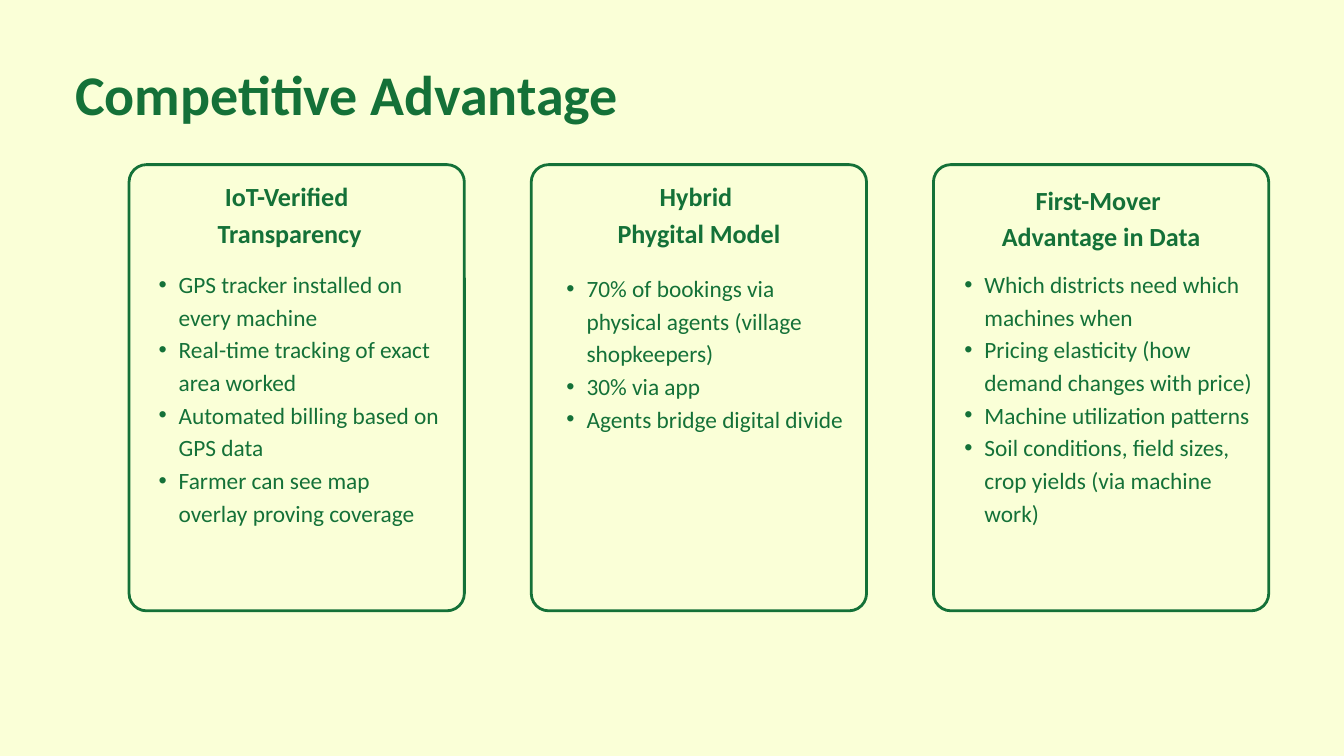
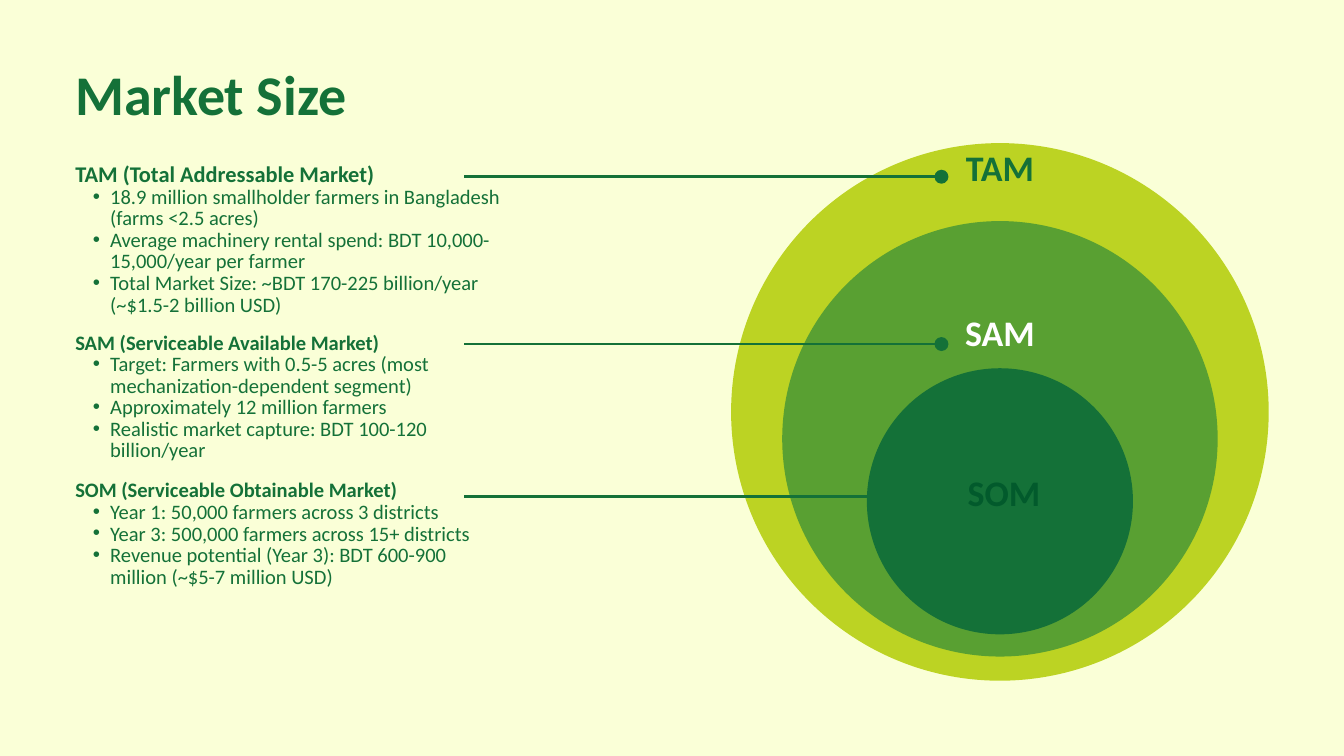
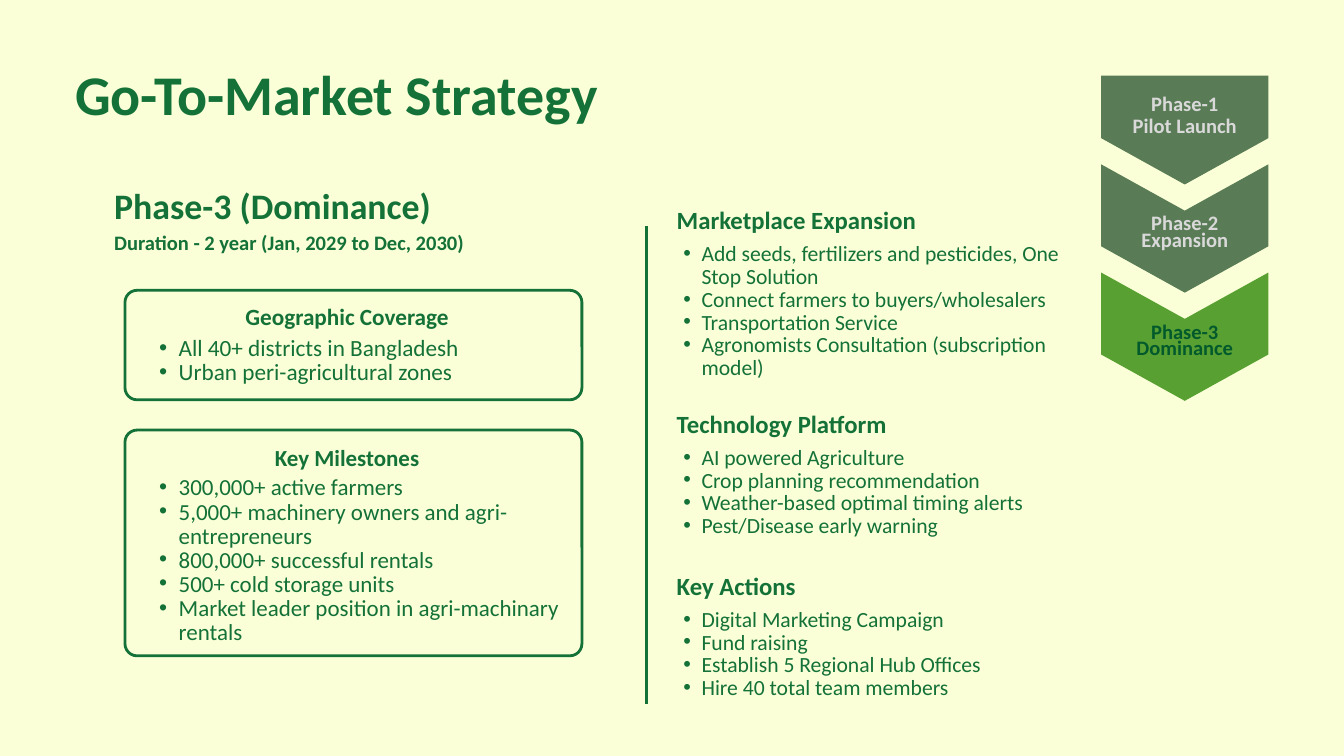
"""Build three slides on competitive advantage, market size and go-to-market strategy."""
import pptx
import pptx.dml.color
import pptx.enum.shapes
import pptx.enum.text
import pptx.oxml
import pptx.oxml.ns
import pptx.util

COLORS = {
    "cream": "FAFFD7",
    "green": "147138",
    "leaf": "59A032",
    "lime": "BCD323",
    "sage": "597B56",
    "forest": "025A2C",
    "silver": "D9D9D9",
    "white": "FFFFFF",
}
FONT = "Calibri"
STROKE = pptx.util.Pt(3)
SHAPES = pptx.enum.shapes.MSO_SHAPE
COLORS = {name: pptx.dml.color.RGBColor.from_string(value) for name, value in COLORS.items()}

deck = pptx.Presentation()
deck.slide_width = pptx.util.Inches(20)
deck.slide_height = pptx.util.Inches(11.25)
COLUMN = deck.slide_width / 20
ROW = deck.slide_height / 11.25


def write(page, at, text, size=24, leading=1.05, color="green", bold=False,
          center=False, hang=None, heading=None):
    """Write one paragraph per line; hang makes bullets, heading sizes a bold first line."""
    left, top, width, height = at
    box = page.shapes.add_textbox(int(left * COLUMN), int(top * ROW), int(width * COLUMN), int(height * ROW))
    frame = box.text_frame
    frame.word_wrap = True
    frame.margin_left = frame.margin_top = frame.margin_right = frame.margin_bottom = 0
    for index, line in enumerate(text.split("\n")):
        para = frame.paragraphs[0] if index == 0 else frame.add_paragraph()
        is_heading = heading is not None and index == 0
        if hang and not is_heading:
            para.level = 1
            properties = para._p.get_or_add_pPr()
            properties.set("marL", str(pptx.util.Inches(2 * hang)))
            properties.set("indent", str(-pptx.util.Inches(hang)))
            for tag, key, value in (("buFont", "typeface", "Arial"), ("buChar", "char", "•")):
                bullet = pptx.oxml.parse_xml(f'<a:{tag} {pptx.oxml.ns.nsdecls("a")}/>')
                bullet.set(key, value)
                properties.append(bullet)
        points = heading if is_heading else size
        para.line_spacing = pptx.util.Pt(round(points * leading, 1))
        para.alignment = pptx.enum.text.PP_ALIGN.CENTER if center else pptx.enum.text.PP_ALIGN.LEFT
        span = para.add_run()
        span.text = line
        span.font.name = FONT
        span.font.size = pptx.util.Pt(points)
        span.font.bold = bold or is_heading
        span.font.color.rgb = COLORS[color]
    return box


def draw(page, kind, at, fill=None, corner=None, turn=0):
    """Draw a filled shape, or an outlined one without fill; corner is a length."""
    left, top, width, height = at
    shape = page.shapes.add_shape(kind, int(left * COLUMN), int(top * ROW), int(width * COLUMN), int(height * ROW))
    shape.shadow.inherit = False
    shape.rotation = turn
    if corner:
        shape.adjustments[0] = corner / min(width, height)
    if fill:
        shape.fill.solid()
        shape.fill.fore_color.rgb = COLORS[fill]
        shape.line.fill.background()
    else:
        shape.fill.background()
        shape.line.color.rgb = COLORS["green"]
        shape.line.width = STROKE


pages = []
for title in ("Competitive Advantage", "Market Size", "Go-To-Market Strategy"):
    page = deck.slides.add_slide(deck.slide_layouts[6])
    page.background.fill.solid()
    page.background.fill.fore_color.rgb = COLORS["cream"]
    if title == "Market Size":
        draw(page, SHAPES.OVAL, (10.88, 2.13, 8, 8), fill="lime")
    write(page, (1.12, 1.05, 11.56, 1.07), title, size=60, leading=1, bold=True)
    pages.append(page)
advantage, market, strategy = pages

cards = [
    ((2.76, 2.61, 3.1, 1.16), "IoT-Verified \nTransparency", (2.06, 3.95, 4.5, 4.85),
     "GPS tracker installed on every machine\nReal-time tracking of exact area worked\n"
     "Automated billing based on GPS data\nFarmer can see map overlay proving coverage"),
    ((8.84, 2.61, 3.12, 1.16), "Hybrid \nPhygital Model", (8.13, 4.01, 4.54, 3.41),
     "70% of bookings via physical agents (village shopkeepers)\n30% via app\n"
     "Agents bridge digital divide"),
    ((14, 2.66, 4.77, 1.16), "First-Mover \nAdvantage in Data", (14.05, 3.95, 4.66, 5.33),
     "Which districts need which machines when\n"
     "Pricing elasticity (how demand changes with price)\nMachine utilization patterns\n"
     "Soil conditions, field sizes, crop yields (via machine work)"),
]
for index, (heading_at, heading, points_at, points) in enumerate(cards):
    draw(advantage, SHAPES.ROUNDED_RECTANGLE, (1.92 + 5.985 * index, 2.45, 4.99, 6.64), corner=0.26)
    write(advantage, heading_at, heading, size=28, leading=1.4, bold=True, center=True)
    write(advantage, points_at, points, size=25, leading=1.4, hang=0.3)

for top, diameter, fill in ((3.29, 6.48, "leaf"), (5.48, 3.96, "green")):
    draw(market, SHAPES.OVAL, (14.88 - diameter / 2, top, diameter, diameter), fill=fill)

markets = [
    (2.43, 2.32, 24, "TAM (Total Addressable Market)\n"
     "18.9 million smallholder farmers in Bangladesh (farms <2.5 acres)\n"
     "Average machinery rental spend: BDT 10,000-15,000/year per farmer\n"
     "Total Market Size: ~BDT 170-225 billion/year (~$1.5-2 billion USD)"),
    (4.95, 1.96, 22, "SAM (Serviceable Available Market)\n"
     "Target: Farmers with 0.5-5 acres (most mechanization-dependent segment)\n"
     "Approximately 12 million farmers\nRealistic market capture: BDT 100-120 billion/year"),
    (7.15, 2.27, 22, "SOM (Serviceable Obtainable Market)\n"
     "Year 1: 50,000 farmers across 3 districts\nYear 3: 500,000 farmers across 15+ districts\n"
     "Revenue potential (Year 3): BDT 600-900 million (~$5-7 million USD)"),
]
for top, height, heading_size, text in markets:
    write(market, (1.12, top, 6.38, height), text, size=22, hang=0.26, heading=heading_size)
for left, top, label, color in ((14.25, 2.25, "TAM", "green"), (14.25, 4.71, "SAM", "white"),
                                (14.31, 7.09, "SOM", "forest")):
    write(market, (left, top, 1.26, 0.7), label, size=38.5, color=color, bold=True, center=True)

phases = [
    (SHAPES.PENTAGON, 1.13, 1.62, "sage", 1.4, "Phase-1\nPilot Launch", "silver", (23.1, 23.1)),
    (SHAPES.CHEVRON, 2.45, 1.91, "sage", 3.07, "Phase-2\nExpansion", "silver", (30.8, 18)),
    (SHAPES.CHEVRON, 4.06, 1.91, "leaf", 4.68, "Phase-3\nDominance", "forest", (30.8, 18)),
]
for kind, top, depth, fill, label_top, label, color, spacings in phases:
    unturned = (17.63 - depth / 2, top + depth / 2 - 1.25, depth, 2.49)
    draw(strategy, kind, unturned, fill=fill, corner=0.69, turn=90)
    box = write(strategy, (16.72, label_top, 1.82, 0.82), label, size=22, color=color, bold=True, center=True)
    for para, spacing in zip(box.text_frame.paragraphs, spacings):
        para.line_spacing = pptx.util.Pt(spacing)

write(strategy, (1.7, 2.82, 7.64, 0.68), "Phase-3 (Dominance)", size=38.4, bold=True)
write(strategy, (1.7, 3.47, 8.37, 0.39), "Duration - 2 year (Jan, 2029 to Dec, 2030)", size=22, bold=True)

panels = [
    (4.32, 1.63, 4.55, 5.01, 24.9, "Geographic Coverage",
     "All 40+ districts in Bangladesh\nUrban peri-agricultural zones"),
    (6.4, 3.36, 6.65, 7.09, 24.6, "Key Milestones",
     "300,000+ active farmers\n5,000+ machinery owners and agri-entrepreneurs\n"
     "800,000+ successful rentals\n500+ cold storage units\n"
     "Market leader position in agri-machinary rentals"),
]
for top, height, heading_top, points_top, size, heading, points in panels:
    draw(strategy, SHAPES.ROUNDED_RECTANGLE, (1.86, top, 6.8, height), corner=0.18)
    write(strategy, (2, heading_top, 6.33, 0.43), heading, size=size, bold=True, center=True)
    write(strategy, (2.08, points_top, 6.33, top + height - points_top - 0.16), points, size=size, hang=0.29)

plans = [
    (3.11, 2.38, "Marketplace Expansion",
     "Add seeds, fertilizers and pesticides, One Stop Solution\n"
     "Connect farmers to buyers/wholesalers\nTransportation Service\n"
     "Agronomists Consultation (subscription model)"),
    (6.14, 1.72, "Technology Platform",
     "AI powered Agriculture\nCrop planning recommendation\n"
     "Weather-based optimal timing alerts\nPest/Disease early warning"),
    (8.55, 1.39, "Key Actions",
     "Digital Marketing Campaign\nFund raising\nEstablish 5 Regional Hub Offices\n"
     "Hire 40 total team members"),
]
for top, height, heading, points in plans:
    write(strategy, (10.07, top, 5.72, 0.47), heading, size=26.5, bold=True)
    write(strategy, (9.9, top + 0.51, 5.9, height), points, size=23.2, hang=0.27)

rules = [(market, 6.91, y, 14.01, y, True) for y in (2.63, 5.12, 7.39)]
rules.append((strategy, 9.62, 10.47, 9.62, 3.37, False))
for page, start_x, start_y, end_x, end_y, dotted in rules:
    rule = page.shapes.add_connector(
        pptx.enum.shapes.MSO_CONNECTOR.STRAIGHT,
        int(start_x * COLUMN), int(start_y * ROW), int(end_x * COLUMN), int(end_y * ROW))
    rule.line.color.rgb = COLORS["green"]
    rule.line.width = STROKE
    namespace = pptx.oxml.ns.nsdecls("a")
    if dotted:
        rule.line._get_or_add_ln().append(
            pptx.oxml.parse_xml(f'<a:tailEnd {namespace} type="oval" w="lg" len="lg"/>'))
    rule._element.spPr.append(pptx.oxml.parse_xml(f"<a:effectLst {namespace}/>"))

deck.save("out.pptx")
